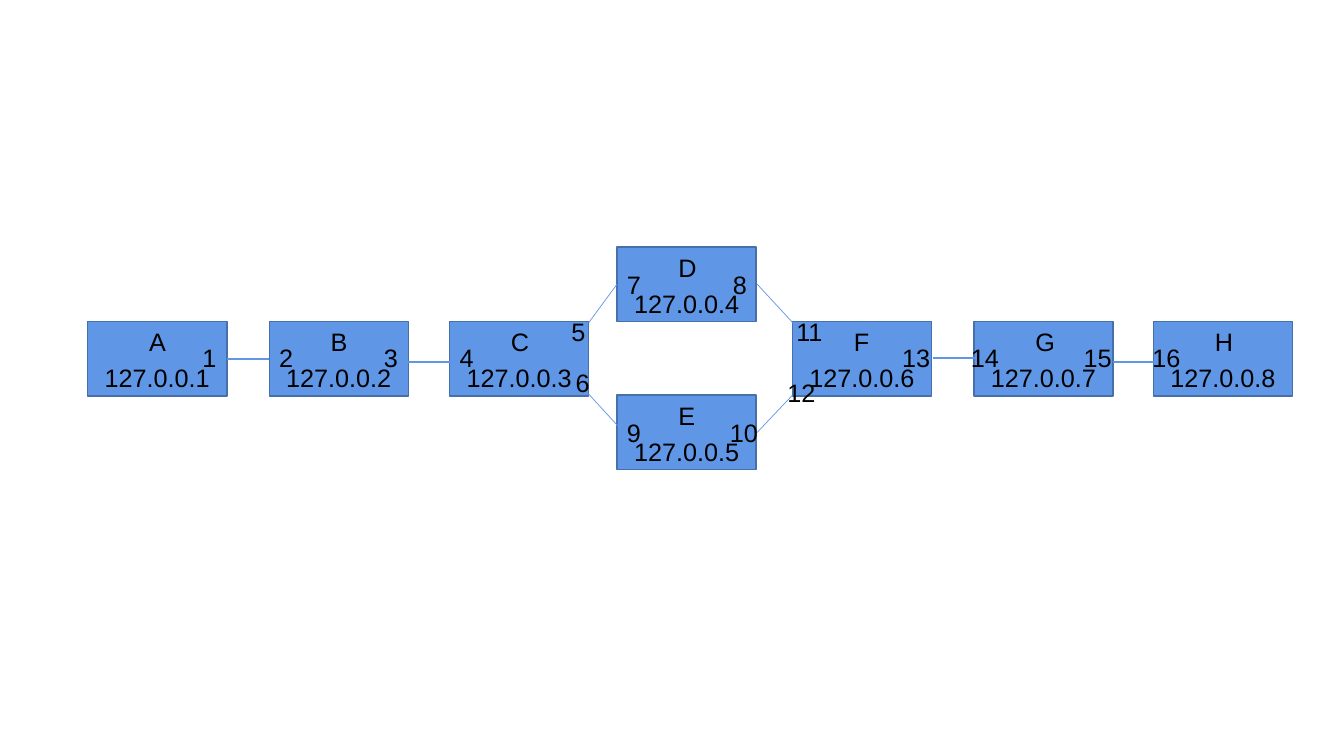
from lxml.etree import SubElement
from pptx import Presentation
from pptx.dml.color import RGBColor
from pptx.enum.shapes import MSO_CONNECTOR as Connector, MSO_SHAPE as Shape
from pptx.enum.text import MSO_AUTO_SIZE as AutoSize
from pptx.oxml.ns import qn
from pptx.util import Inches, Pt

COLOURS = {"node": "6096E6", "border": "476FAA", "text": "000000"}
NODE_WIDTH, NODE_HEIGHT = 1.38, 0.74
MIDDLE, UPPER, LOWER = 3.19, 2.45, 3.92

NODES = [
    ("A", 0.87, MIDDLE), ("B", 2.67, MIDDLE), ("C", 4.46, MIDDLE),
    ("D", 6.12, UPPER), ("E", 6.12, LOWER),
    ("F", 7.86, MIDDLE), ("G", 9.66, MIDDLE), ("H", 11.44, MIDDLE),
]
STRAIGHT_LINKS = [(2.25, 3.56), (4.05, 3.59), (9.25, 3.55), (11.04, 3.59)]
LINK_LENGTH = 0.42
BRANCH_LINKS = [
    (6.12, 2.82, 5.84, 3.2), (7.51, 2.82, 7.88, 3.22),
    (5.83, 3.9, 6.16, 4.26), (7.86, 3.92, 7.51, 4.29),
]
PORTS = [
    (1.91, 3.35), (2.67, 3.35), (3.71, 3.35), (4.46, 3.35),
    (5.57, 3.09), (5.61, 3.59), (6.12, 2.62), (7.17, 2.62),
    (6.12, 4.09), (7.14, 4.09), (7.8, 3.09), (7.71, 3.69),
    (8.85, 3.35), (9.53, 3.35), (10.65, 3.35), (11.33, 3.35),
]


class NetworkPage:
    def __init__(self, page, font="Arial", size=18):
        self.page = page
        self.font = font
        self.size = size

    def colour(self, name):
        return RGBColor.from_string(COLOURS[name])

    def label(self, text, left, top, width, shapes=None):
        shapes = self.page.shapes if shapes is None else shapes
        box = shapes.add_textbox(Inches(left), Inches(top), Inches(width), Inches(0.4))
        frame = box.text_frame
        frame.word_wrap = False
        frame.auto_size = AutoSize.SHAPE_TO_FIT_TEXT
        para = frame.paragraphs[0]
        para.text = text
        para.font.name = self.font
        para.font.size = Pt(self.size)
        para.font.color.rgb = self.colour("text")

    def node(self, name, address, left, top):
        group = self.page.shapes.add_group_shape()
        box = group.shapes.add_shape(
            Shape.RECTANGLE, Inches(left), Inches(top), Inches(NODE_WIDTH), Inches(NODE_HEIGHT))
        box.shadow.inherit = False
        box.fill.solid()
        box.fill.fore_color.rgb = self.colour("node")
        box.line.color.rgb = self.colour("border")
        box.line.width = Pt(1)
        self.label(name, left + 0.51, top, 0.37, group.shapes)
        self.label(address, left + 0.07, top + 0.36, 1.24, group.shapes)

    def link(self, x1, y1, x2, y2, width):
        line = self.page.shapes.add_connector(
            Connector.STRAIGHT, Inches(x1), Inches(y1), Inches(x2), Inches(y2))
        line.line.color.rgb = self.colour("node")
        line.line.width = Pt(width)
        SubElement(line._element.spPr, qn("a:effectLst"))


def main():
    deck = Presentation()
    deck.slide_width, deck.slide_height = Inches(13.33), Inches(7.5)
    network = NetworkPage(deck.slides.add_slide(deck.slide_layouts[6]))
    for number, (name, left, top) in enumerate(NODES, 1):
        network.node(name, f"127.0.0.{number}", left, top)
    for left, y in STRAIGHT_LINKS:
        network.link(left, y, left + LINK_LENGTH, y, 1.5)
    for ends in BRANCH_LINKS:
        network.link(*ends, 0.5)
    for number, (left, top) in enumerate(PORTS, 1):
        network.label(str(number), left, top, 0.34 if number < 10 else 0.48)
    deck.save("out.pptx")


if __name__ == "__main__":
    main()
